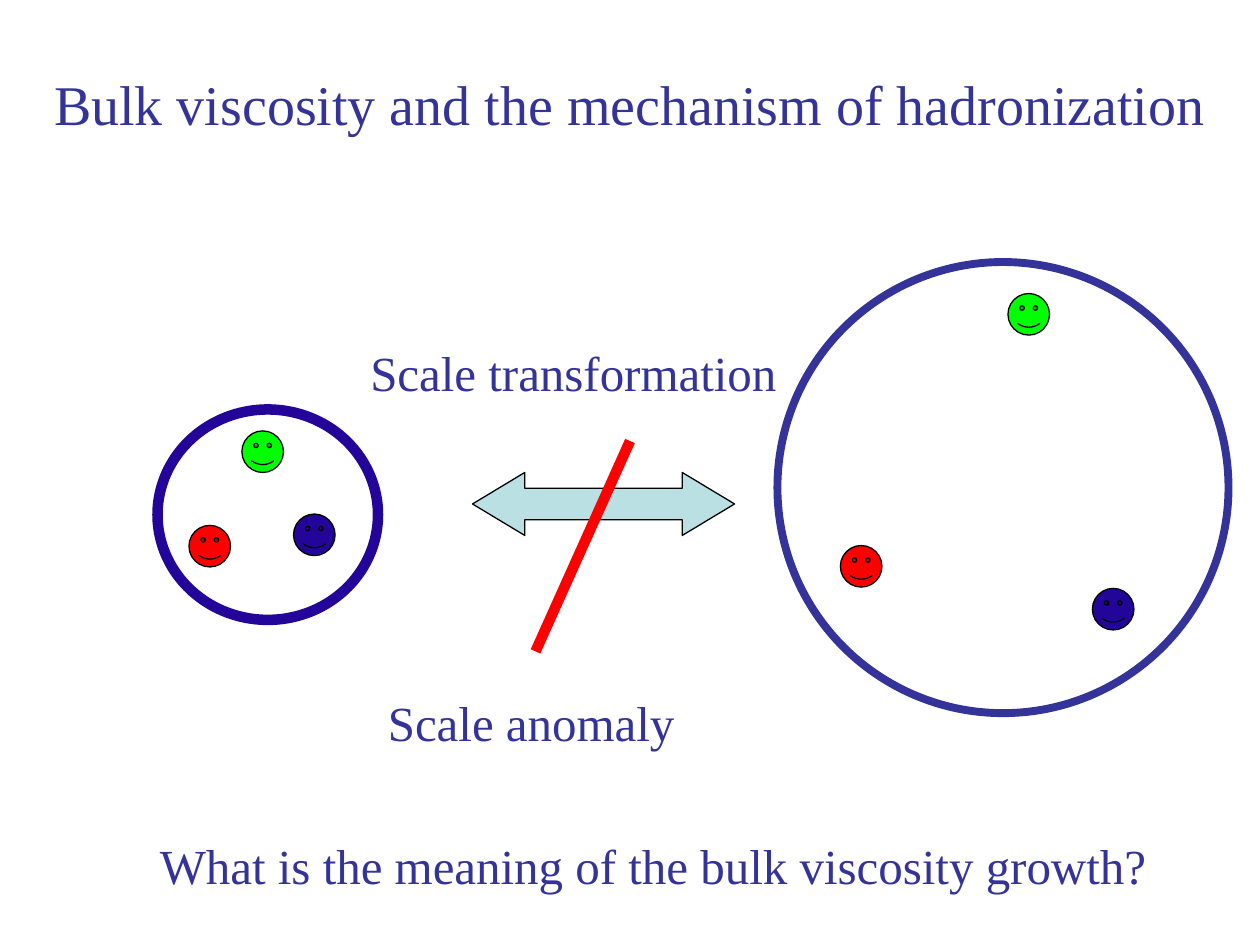
from lxml import etree
from pptx import Presentation
from pptx import util as u
from pptx.dml.color import RGBColor
from pptx.enum import shapes, text
from pptx.oxml.ns import qn

INDIGO = RGBColor(0x33, 0x33, 0x99)
NAVY = RGBColor(0x23, 0x06, 0x99)
RED = RGBColor(0xFF, 0x00, 0x00)
GREEN = RGBColor(0x00, 0xFF, 0x00)
PALE_TEAL = RGBColor(0xBB, 0xE0, 0xE3)
BLACK = RGBColor(0x00, 0x00, 0x00)

FONT = "Times New Roman"
QUARK_SIZE = 0.33
SHAPE = shapes.MSO_SHAPE


def place(item, left, top, width, height):
    bounds = {"left": left, "top": top, "width": width, "height": height}
    for name, value in bounds.items():
        setattr(item, name, u.Inches(value))


def write_text(box, words, size):
    frame = box.text_frame
    # The narrow right margin leaves room for each line to stay whole
    frame_format = {
        "word_wrap": False,
        "auto_size": text.MSO_AUTO_SIZE.NONE,
        "vertical_anchor": text.MSO_ANCHOR.TOP,
        "margin_left": u.Inches(0.1),
        "margin_right": u.Inches(0.05),
    }
    for name, value in frame_format.items():
        setattr(frame, name, value)
    para = frame.paragraphs[0]
    para.alignment = text.PP_ALIGN.LEFT
    span = para.add_run()
    span.text = words
    for name, value in {"name": FONT, "size": u.Pt(size)}.items():
        setattr(span.font, name, value)
    span.font.color.rgb = INDIGO


def add_label(slide, words, left, top, width):
    box = slide.shapes.add_textbox(*map(u.Inches, (left, top, width, 0.57)))
    write_text(box, words, 28)


def add_outlined(slide, kind, bounds, fill=None, line=BLACK, weight=0.75):
    shape = slide.shapes.add_shape(kind, *map(u.Inches, bounds))
    shape.shadow.inherit = False
    if fill is None:
        shape.fill.background()
    else:
        shape.fill.solid()
        shape.fill.fore_color.rgb = fill
    shape.line.color.rgb = line
    shape.line.width = u.Pt(weight)
    return shape


def add_hadron(slide, bounds, line, weight, quarks):
    """Draw a ring with its coloured quarks inside."""
    add_outlined(slide, SHAPE.OVAL, bounds, line=line, weight=weight)
    for color, left, top in quarks:
        add_outlined(slide, SHAPE.SMILEY_FACE,
                     (left, top, QUARK_SIZE, QUARK_SIZE), fill=color)


def add_strike(slide, start, end):
    strike = slide.shapes.add_connector(
        shapes.MSO_CONNECTOR.STRAIGHT, *map(u.Inches, start + end))
    strike.line.color.rgb = RED
    strike.line.width = u.Pt(6)
    etree.SubElement(strike.element.spPr, qn("a:effectLst"))


def main():
    deck = Presentation()
    deck.slide_width, deck.slide_height = u.Inches(10), u.Inches(7.5)
    slide = deck.slides.add_slide(deck.slide_layouts[5])

    # Title
    title = slide.shapes.title
    place(title, 0.33, 0.5, 9.34, 0.64)
    write_text(title, "Bulk viscosity and the mechanism of hadronization", 32)

    # Small hadron, scale arrow, large hadron
    add_hadron(slide, (1.25, 3.25, 1.75, 1.67), NAVY, 6,
               [(RED, 1.5, 4.17), (NAVY, 2.33, 4.08), (GREEN, 1.92, 3.42)])
    arrow = add_outlined(slide, SHAPE.LEFT_RIGHT_ARROW,
                         (3.75, 3.75, 2.08, 0.5), fill=PALE_TEAL)
    arrow.adjustments[1] = 0.83
    add_hadron(slide, (6.17, 2.08, 3.58, 3.58), INDIGO, 4.5,
               [(RED, 6.67, 4.33), (GREEN, 8, 2.33), (NAVY, 8.67, 4.67)])

    # Labels, and the stroke that crosses out the arrow
    add_label(slide, "Scale transformation", 2.84, 2.67, 3.42)
    add_strike(slide, (5, 3.5), (4.25, 5.17))
    add_label(slide, "Scale anomaly", 2.98, 5.45, 2.47)
    add_label(slide, "What is the meaning of the bulk viscosity growth?",
              1.17, 6.58, 8.03)

    deck.save("out.pptx")


if __name__ == "__main__":
    main()
